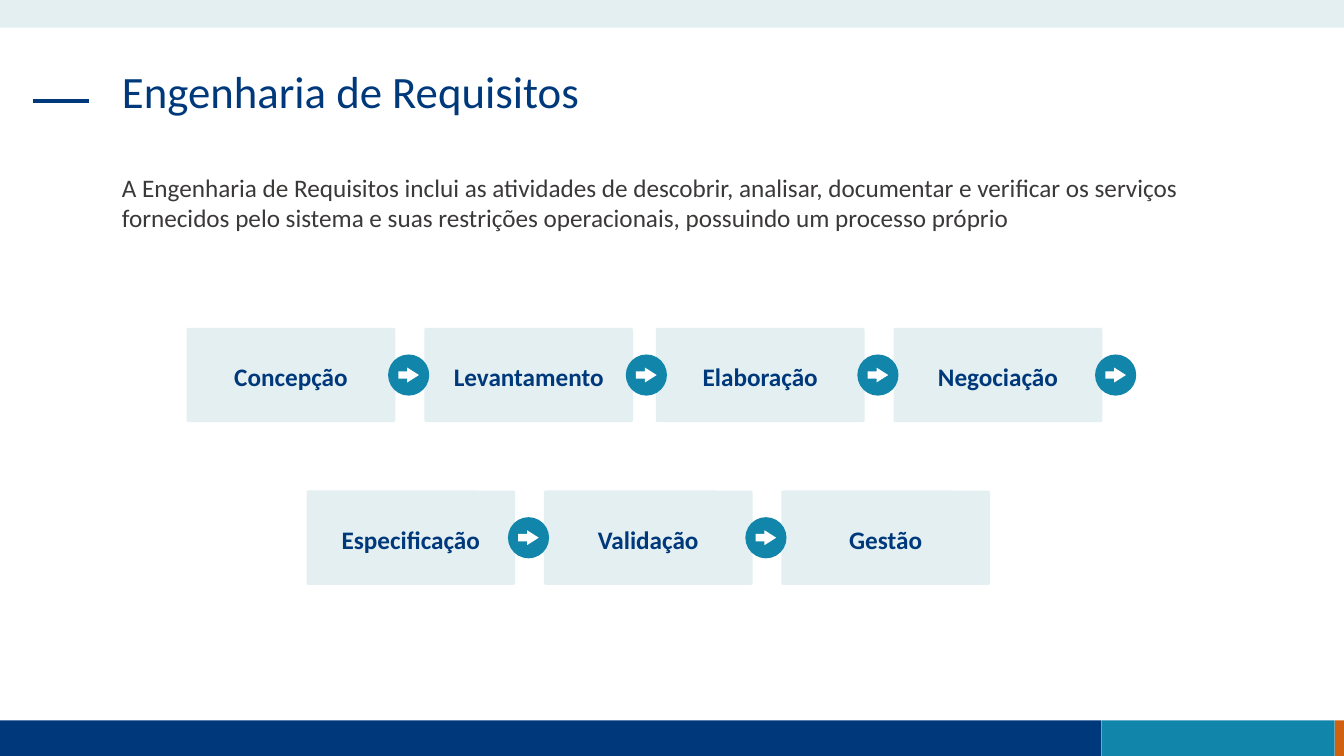
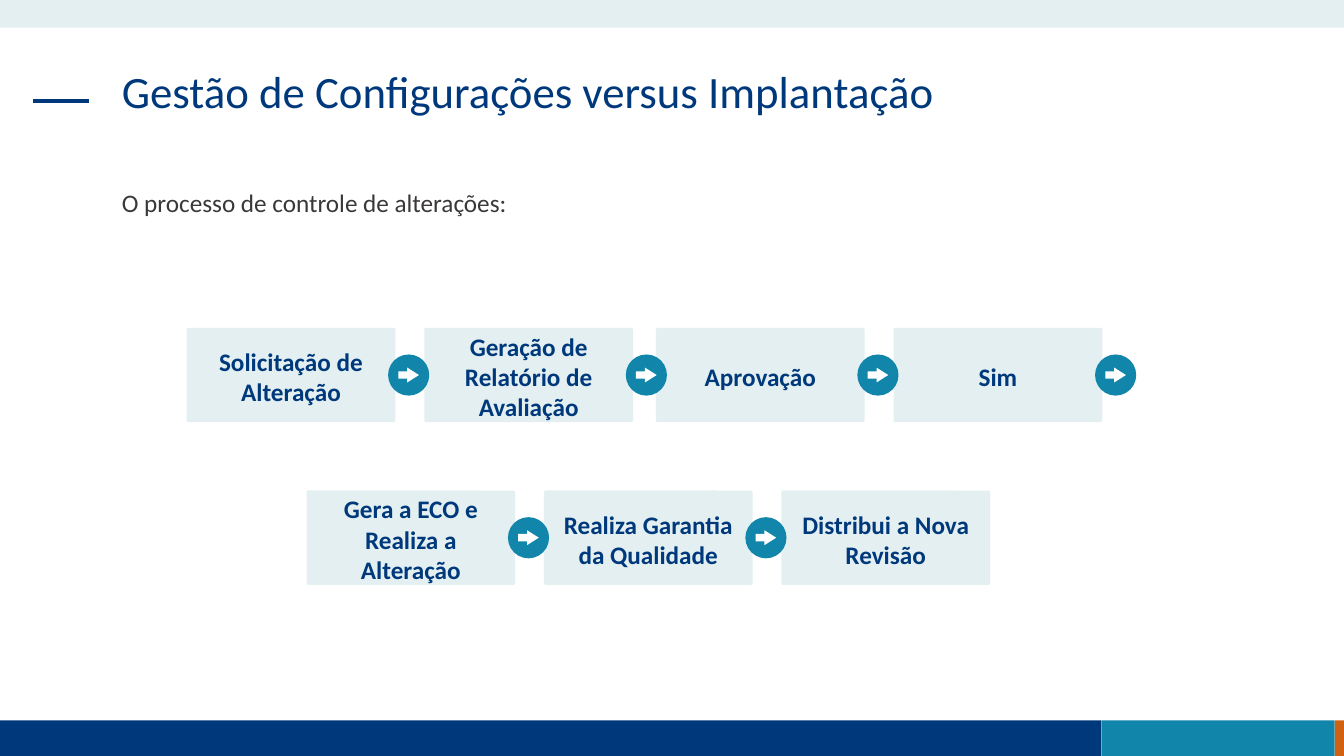
from pptx import Presentation
from pptx.dml.color import RGBColor
from pptx.enum.shapes import MSO_CONNECTOR, MSO_SHAPE
from pptx.enum.text import MSO_ANCHOR, PP_ALIGN
from pptx.oxml.ns import qn
from pptx.util import Pt
from lxml import etree

# Shared style
NAVY = RGBColor(0x00, 0x39, 0x7B)
TEAL = RGBColor(0x11, 0x85, 0xAA)
PALE = RGBColor(0xE3, 0xEF, 0xF1)
ORANGE = RGBColor(0xD0, 0x61, 0x10)
GRAY = RGBColor(0x3B, 0x38, 0x38)
WHITE = RGBColor(0xFF, 0xFF, 0xFF)
FONT = "Calibri"

RECT = MSO_SHAPE.RECTANGLE
ROUND = MSO_SHAPE.ROUNDED_RECTANGLE
OVAL = MSO_SHAPE.OVAL
ARROW = MSO_SHAPE.RIGHT_ARROW
STRAIGHT = MSO_CONNECTOR.STRAIGHT
TOP, MIDDLE = MSO_ANCHOR.TOP, MSO_ANCHOR.MIDDLE
LEFT, CENTER = PP_ALIGN.LEFT, PP_ALIGN.CENTER

# Slide and flow geometry, in points
WIDTH, HEIGHT = 960, 540
BAND_TOP = 514.6
TEXT_X, TEXT_W = 80, 799
STEP_W, STEP_H = 149, 67.4
BADGE, BADGE_DX = 29.4, 143.8
ARROW_W, ARROW_H = 14.8, 10.6
ROWS = [  # top, left edges of the steps
    (234.2, [133.4, 303.2, 468.6, 638.4]),
    (350.4, [219, 388.6, 558.2]),
]

# Title, lead sentence, steps by row
SLIDES = [
    ("Engenharia de Requisitos",
     "A Engenharia de Requisitos inclui as atividades de descobrir, analisar, "
     "documentar e verificar os serviços fornecidos pelo sistema e suas "
     "restrições operacionais, possuindo um processo próprio",
     [["Concepção", "Levantamento", "Elaboração", "Negociação"],
      ["Especificação", "Validação", "Gestão"]]),
    ("Gestão de Configurações versus Implantação",
     "O processo de controle de alterações:",
     [["Solicitação de Alteração", "Geração de Relatório de Avaliação",
       "Aprovação", "Sim"],
      ["Gera a ECO e Realiza a Alteração", "Realiza Garantia da Qualidade",
       "Distribui a Nova Revisão"]]),
]


def add_block(s, kind, x, y, w, h, color):
    sp = s.shapes.add_shape(kind, Pt(x), Pt(y), Pt(w), Pt(h))
    sp.shadow.inherit = False
    sp.fill.solid()
    sp.fill.fore_color.rgb = color
    sp.line.fill.background()
    return sp


def set_text(sp, text, size, color, bold=False, align=LEFT, anchor=TOP):
    tf = sp.text_frame
    tf.word_wrap = True
    tf.vertical_anchor = anchor
    tf.text = text
    p = tf.paragraphs[0]
    p.alignment = align
    font = p.runs[0].font
    font.name, font.size, font.bold = FONT, Pt(size), bold
    font.color.rgb = color
    return tf


def add_text(s, y, h, text, size, color, anchor=TOP):
    sp = s.shapes.add_textbox(Pt(TEXT_X), Pt(y), Pt(TEXT_W), Pt(h))
    return set_text(sp, text, size, color, anchor=anchor)


def add_frame(s):
    """Top band, footer bands and the dash beside the title."""
    add_block(s, RECT, 0, 0, WIDTH, 19.8, PALE)
    for x, right, color in [(0, 786.8, NAVY), (786.8, 953.4, TEAL),
                            (953.4, WIDTH, ORANGE)]:
        add_block(s, RECT, x, BAND_TOP, right - x, HEIGHT - BAND_TOP, color)
    dash = s.shapes.add_connector(STRAIGHT, Pt(23.6), Pt(72), Pt(63.6), Pt(72))
    dash.line.color.rgb = NAVY
    dash.line.width = Pt(3)
    etree.SubElement(dash.element.spPr, qn("a:effectLst"))


def add_step(s, x, y, text):
    sp = add_block(s, ROUND, x, y, STEP_W, STEP_H, PALE)
    sp.adjustments[0] = 0.02
    tf = set_text(sp, text, 18, NAVY, True, CENTER, MIDDLE)
    tf.margin_top, tf.margin_bottom = Pt(2), 0


def add_badge(s, x, y):
    add_block(s, OVAL, x, y, BADGE, BADGE, TEAL)
    sp = add_block(s, ARROW, x + (BADGE - ARROW_W) / 2,
                   y + (BADGE - ARROW_H) / 2, ARROW_W, ARROW_H, WHITE)
    sp.adjustments[1] = 0.79


def add_flow(s, rows):
    # Steps first, so that the badges lie over both neighbours
    for (y, lefts), texts in zip(ROWS, rows):
        for x, text in zip(lefts, texts):
            add_step(s, x, y, text)
    # Every step but the last leads on to another
    badges = [(x, y) for y, lefts in ROWS for x in lefts][:-1]
    for x, y in badges:
        add_badge(s, x + BADGE_DX, y + (STEP_H - BADGE) / 2)


def main():
    prs = Presentation()
    prs.slide_width, prs.slide_height = Pt(WIDTH), Pt(HEIGHT)
    for title, lead, rows in SLIDES:
        s = prs.slides.add_slide(prs.slide_layouts[6])
        add_frame(s)
        tf = add_text(s, 46, 67.6, title, 32, NAVY)
        tf.paragraphs[0].line_spacing = 0.9
        add_text(s, 119, 51, lead, 18, GRAY, MIDDLE)
        add_flow(s, rows)
    prs.save("out.pptx")


if __name__ == "__main__":
    main()
